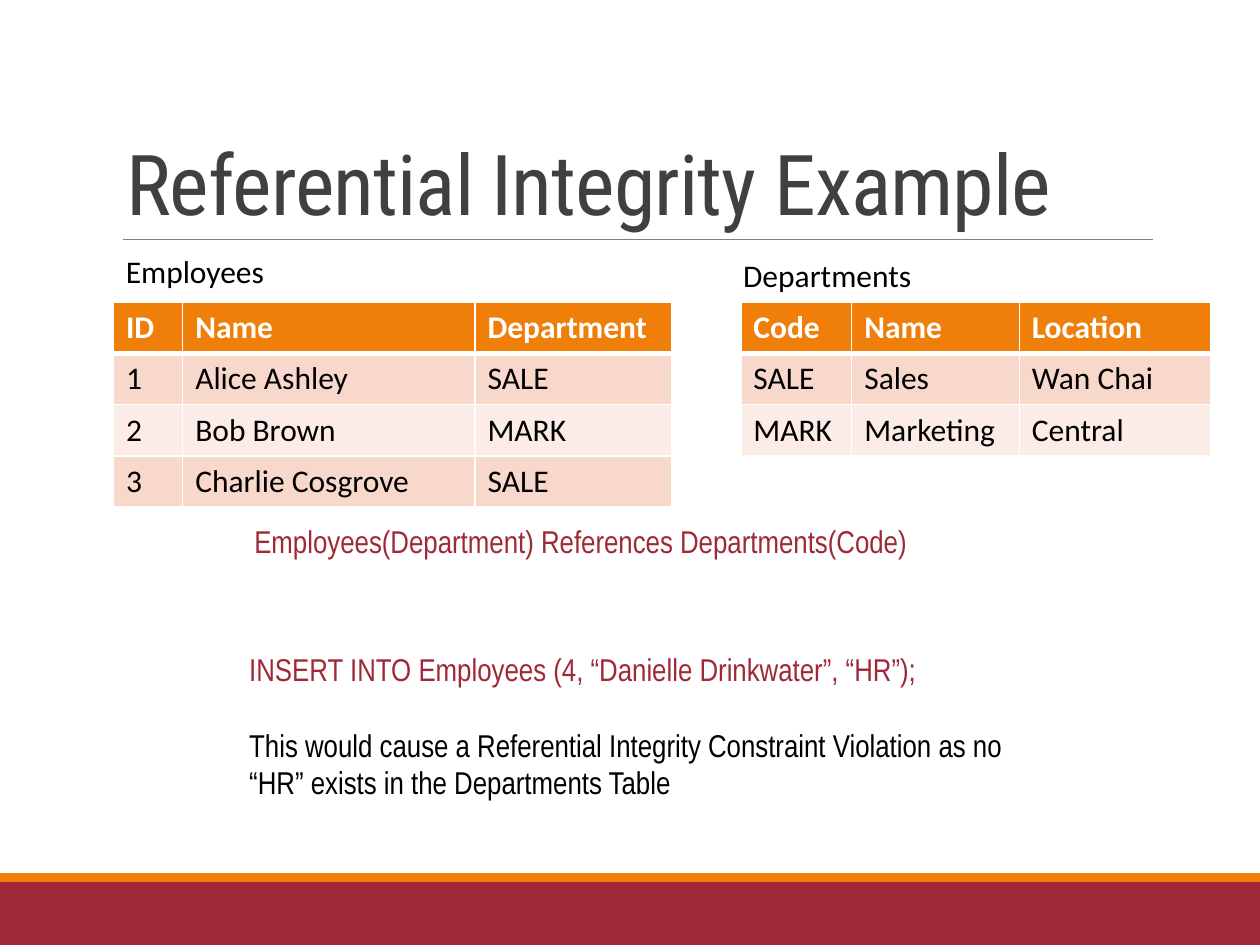
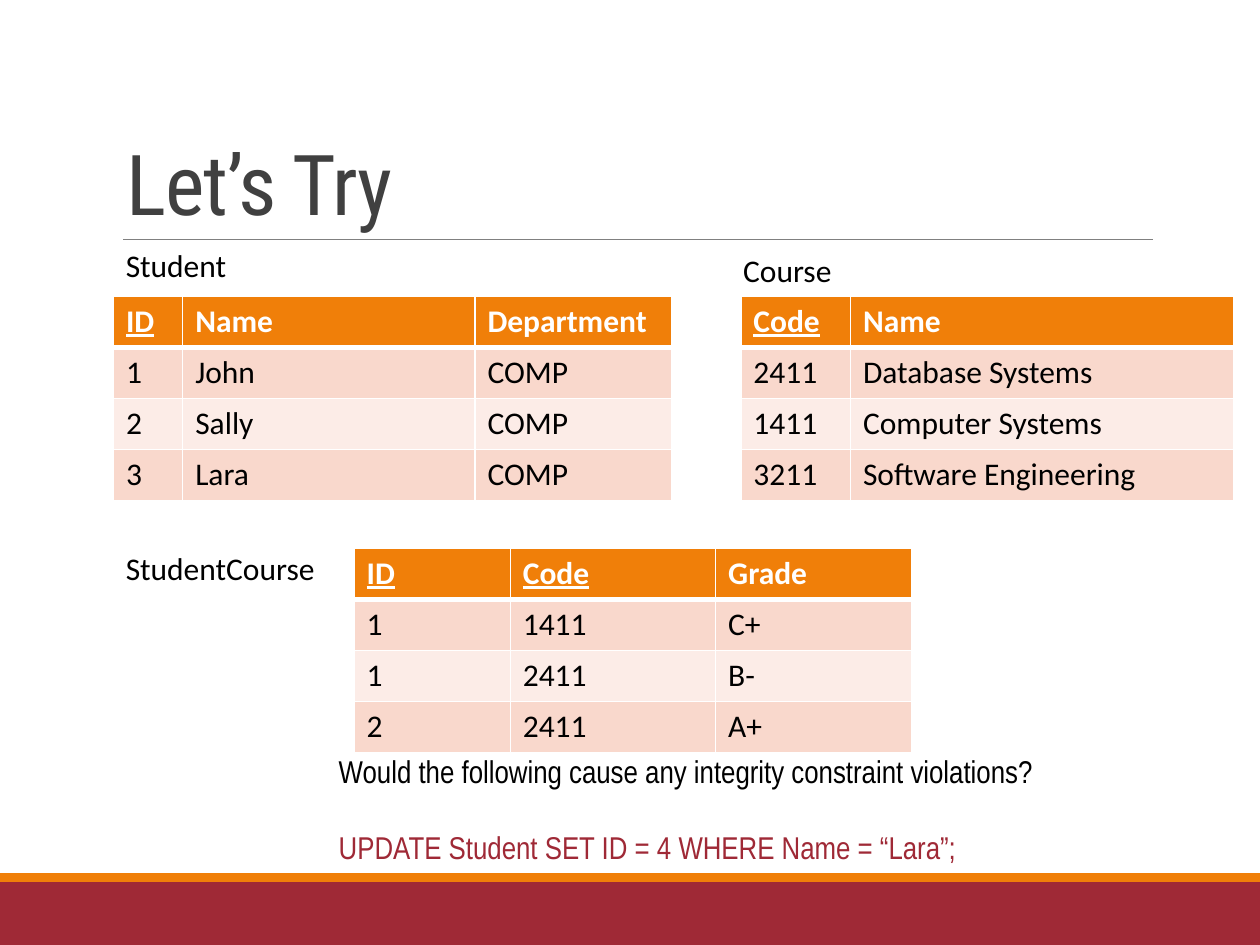
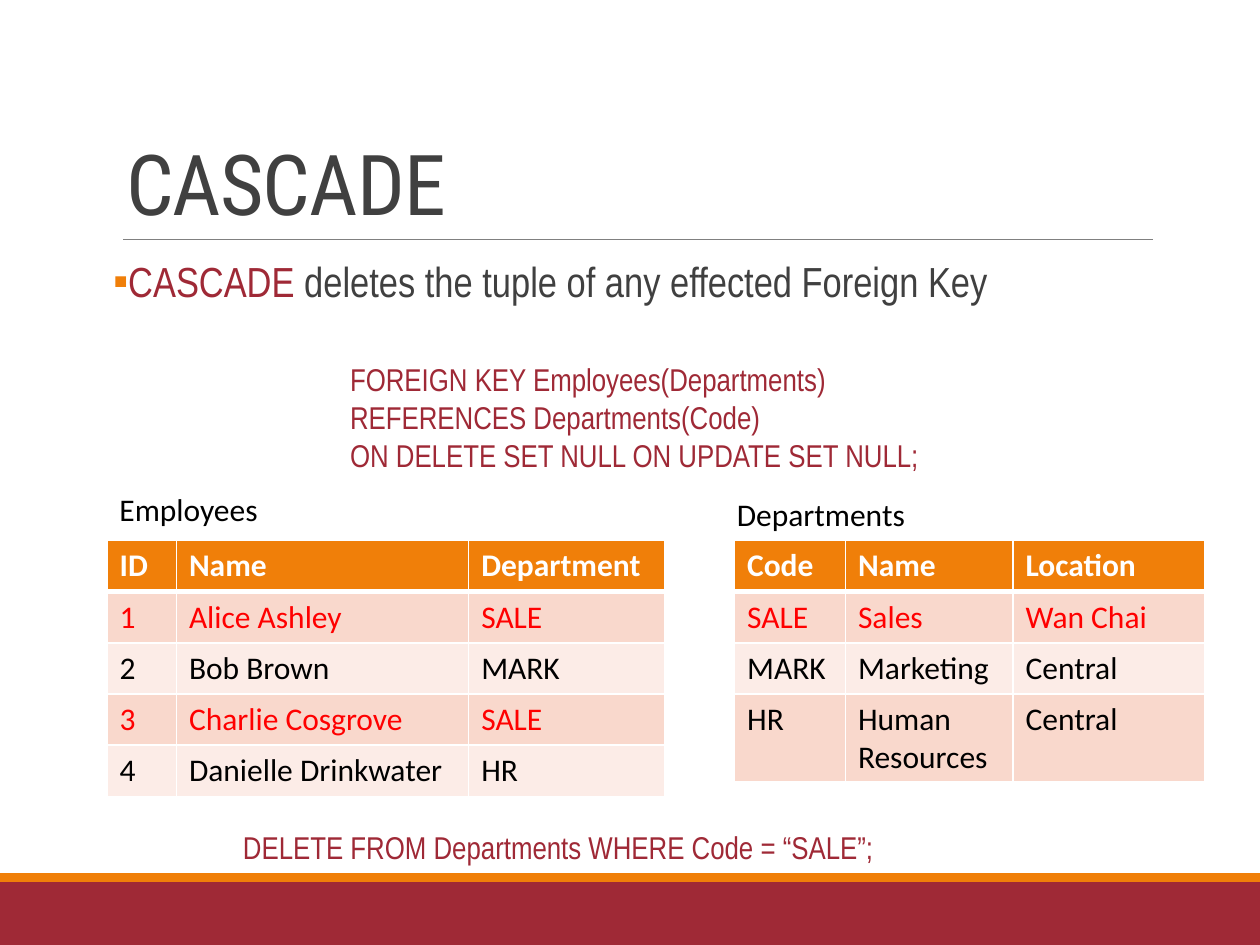
from lxml import etree
from pptx import Presentation
from pptx.dml.color import RGBColor
from pptx.enum.shapes import MSO_CONNECTOR, MSO_SHAPE
from pptx.enum.text import MSO_ANCHOR, MSO_AUTO_SIZE, PP_ALIGN
from pptx.oxml.ns import qn
from pptx.util import Inches, Pt

RECTANGLE = MSO_SHAPE.RECTANGLE
STRAIGHT = MSO_CONNECTOR.STRAIGHT
BOTTOM = MSO_ANCHOR.BOTTOM
LEFT = PP_ALIGN.LEFT
NO_FIT = MSO_AUTO_SIZE.NONE
GROW = MSO_AUTO_SIZE.SHAPE_TO_FIT_TEXT

COLUMNS, ROWS = 100, 75
TITLE_ONLY, TITLE_AND_BODY = 5, 1
ROW_HEIGHT = 4.06
LINE_GAP = 21.6
EMPLOYEE_COLUMNS = [5.5, 23.2, 15.6]
DEPARTMENT_COLUMNS = [8.8, 13.3, 15.2]

WHITE, BLACK, GREY, RULE = "FFFFFF", "000000", "404040", "808080"
CRIMSON, ORANGE, RED = "9F2936", "F07F09", "FF0000"
ROW_FILLS = ["FCECE7", "F9D8CC"]
TITLE_FONT, TABLE_FONT, CODE_FONT = "Roboto Condensed", "Calibri", "Arial Narrow"


def rgb(color):
    return RGBColor.from_string(color)


def add_child(parent, tag, **attributes):
    return etree.SubElement(parent, qn(tag), attributes)


class Deck:
    def __init__(self):
        self.presentation = Presentation()
        self.presentation.slide_width = Inches(10)
        self.presentation.slide_height = Inches(7.5)
        self.slide = None

    def column(self, count):
        return round(self.presentation.slide_width * count / COLUMNS)

    def row(self, count):
        return round(self.presentation.slide_height * count / ROWS)

    def box(self, left, top, width, height):
        return self.column(left), self.row(top), self.column(width), self.row(height)

    def place(self, shape, *area):
        shape.left, shape.top, shape.width, shape.height = self.box(*area)

    def run(self, paragraph, text, font, size, color, bold=False, underline=False):
        run = paragraph.add_run()
        run.text = text
        run.font.name = font
        run.font.size = Pt(size)
        run.font.color.rgb = rgb(color)
        run.font.bold = bold
        run.font.underline = underline
        return run

    def band(self, top, height, color):
        band = self.slide.shapes.add_shape(RECTANGLE, *self.box(0, top, COLUMNS, height))
        band.shadow.inherit = False
        band.fill.solid()
        band.fill.fore_color.rgb = rgb(color)
        band.line.fill.background()

    def rule(self, left, right, height):
        rule = self.slide.shapes.add_connector(
            STRAIGHT, self.column(left), self.row(height), self.column(right), self.row(height))
        rule.line.color.rgb = rgb(RULE)
        rule.line.width = Pt(0.5)
        add_child(rule._element.spPr, "a:effectLst")

    def start(self, title, layout=TITLE_ONLY):
        layouts = self.presentation.slide_layouts
        self.slide = self.presentation.slides.add_slide(layouts[layout])
        self.band(70, 5, CRIMSON)
        self.band(69.3, 0.7, ORANGE)
        self.rule(9.8, 91.5, 19)
        shape = self.slide.shapes.title
        self.place(shape, 9, 3.1, 82.5, 15.9)
        frame = shape.text_frame
        frame.auto_size = NO_FIT
        frame.vertical_anchor = BOTTOM
        paragraph = frame.paragraphs[0]
        paragraph.alignment = LEFT
        paragraph.line_spacing = 0.85
        run = self.run(paragraph, title, TITLE_FONT, 48, GREY)
        run.font._element.set("spc", "-50")

    def bullet(self, runs):
        body = self.slide.placeholders[1]
        self.place(body, 9, 20.2, 82.5, 44)
        frame = body.text_frame
        frame.auto_size = NO_FIT
        frame.margin_left = frame.margin_right = 0
        paragraph = frame.paragraphs[0]
        properties = paragraph._p.get_or_add_pPr()
        properties.set("marL", str(Inches(0.1)))
        properties.set("indent", str(-Inches(0.1)))
        add_child(add_child(properties, "a:buClr"), "a:srgbClr", val=ORANGE)
        add_child(properties, "a:buFont", typeface=TABLE_FONT)
        add_child(properties, "a:buChar", char="▪")
        paragraph.line_spacing = 0.9
        paragraph.space_before = Pt(0)
        paragraph.space_after = Pt(2)
        for text, color in runs:
            self.run(paragraph, text, CODE_FONT, 24, color)

    def text(self, area, lines, font=CODE_FONT, gap=0):
        frame = self.slide.shapes.add_textbox(*self.box(*area)).text_frame
        frame.word_wrap = True
        frame.auto_size = GROW
        for index, (line, color) in enumerate(lines):
            paragraph = frame.add_paragraph() if index else frame.paragraphs[0]
            if index:
                paragraph.space_before = Pt(gap)
            self.run(paragraph, line, font, 18, color)

    def label(self, left, top, name):
        self.text((left, top, 33, 4), [(name, BLACK)], TABLE_FONT)

    def border(self, cell, side, width):
        line = add_child(cell._tc.get_or_add_tcPr(), "a:" + side, w=str(Pt(width)))
        add_child(add_child(line, "a:solidFill"), "a:srgbClr", val=WHITE)

    def table(self, left, top, widths, records, keys=(), marked=(), last_height=ROW_HEIGHT):
        area = self.box(left, top, sum(widths), ROW_HEIGHT * len(records))
        table = self.slide.shapes.add_table(len(records), len(widths), *area).table
        for column, width in zip(table.columns, widths):
            column.width = self.column(width)
        for row in table.rows:
            row.height = self.row(ROW_HEIGHT)
        table.rows[len(records) - 1].height = self.row(last_height)
        for row_index, record in enumerate(records):
            header = row_index == 0
            fill = ORANGE if header else ROW_FILLS[row_index % 2]
            color = WHITE if header else RED if row_index in marked else BLACK
            for column_index, value in enumerate(record):
                cell = table.cell(row_index, column_index)
                self.border(cell, "lnL", 1)
                self.border(cell, "lnR", 1)
                self.border(cell, "lnT", 3 if row_index == 1 else 1)
                self.border(cell, "lnB", 3 if header else 1)
                cell.fill.solid()
                cell.fill.fore_color.rgb = rgb(fill)
                self.run(cell.text_frame.paragraphs[0], value, TABLE_FONT, 18, color,
                         bold=header, underline=header and value in keys)


EMPLOYEES = [
    ("ID", "Name", "Department"),
    ("1", "Alice Ashley", "SALE"),
    ("2", "Bob Brown", "MARK"),
    ("3", "Charlie Cosgrove", "SALE"),
]
DEPARTMENTS = [
    ("Code", "Name", "Location"),
    ("SALE", "Sales", "Wan Chai"),
    ("MARK", "Marketing", "Central"),
]
STUDENTS = [
    ("ID", "Name", "Department"),
    ("1", "John", "COMP"),
    ("2", "Sally", "COMP"),
    ("3", "Lara", "COMP"),
]
COURSES = [
    ("Code", "Name"),
    ("2411", "Database Systems"),
    ("1411", "Computer Systems"),
    ("3211", "Software Engineering"),
]
GRADES = [
    ("ID", "Code", "Grade"),
    ("1", "1411", "C+"),
    ("1", "2411", "B-"),
    ("2", "2411", "A+"),
]


def referential_integrity(deck):
    deck.start("Referential Integrity Example")
    deck.table(9, 24, EMPLOYEE_COLUMNS, EMPLOYEES)
    deck.label(9, 19.5, "Employees")
    deck.table(58.8, 24, DEPARTMENT_COLUMNS, DEPARTMENTS)
    deck.label(58, 19.8, "Departments")
    deck.text((18.8, 51.1, 63, 13.1), [
        ("INSERT INTO Employees (4, “Danielle Drinkwater”, “HR”);", CRIMSON),
        ("This would cause a Referential Integrity Constraint Violation as no "
         "“HR” exists in the Departments Table", BLACK),
    ], gap=LINE_GAP)
    deck.text((19.2, 40.9, 63, 4),
              [("Employees(Department) References Departments(Code)", CRIMSON)])


def lets_try(deck):
    deck.start("Let’s Try")
    deck.table(9, 23.5, EMPLOYEE_COLUMNS, STUDENTS, keys=["ID"])
    deck.label(9, 19, "Student")
    deck.table(58.8, 23.5, [8.7, 30.4], COURSES, keys=["Code"])
    deck.label(58, 19.4, "Course")
    deck.table(28.1, 43.5, [12.4, 16.3, 15.6], GRADES, keys=["ID", "Code"])
    deck.label(9, 43.1, "StudentCourse")
    deck.text((25.9, 59.2, 63, 10.1), [
        ("Would the following cause any integrity constraint violations?", BLACK),
        ("UPDATE Student SET ID = 4 WHERE Name = “Lara”;", CRIMSON),
    ], gap=LINE_GAP)


def cascade(deck):
    deck.start("CASCADE", TITLE_AND_BODY)
    deck.bullet([("CASCADE", CRIMSON),
                 (" deletes the tuple of any effected Foreign Key", GREY)])
    deck.text((26.8, 28.1, 63, 10.1), [
        ("FOREIGN KEY Employees(Departments)", CRIMSON),
        ("REFERENCES Departments(Code)", CRIMSON),
        ("ON DELETE SET NULL ON UPDATE SET NULL;", CRIMSON),
    ])
    employees = EMPLOYEES + [("4", "Danielle Drinkwater", "HR")]
    departments = DEPARTMENTS + [("HR", "Human Resources", "Central")]
    deck.table(8.5, 42.9, EMPLOYEE_COLUMNS, employees, marked=[1, 3])
    deck.label(8.5, 38.4, "Employees")
    deck.table(58.3, 42.9, DEPARTMENT_COLUMNS, departments, marked=[1], last_height=7)
    deck.label(57.5, 38.8, "Departments")
    deck.text((18.3, 65.2, 66.6, 4),
              [("DELETE FROM Departments WHERE Code = “SALE”;", CRIMSON)])


def main():
    deck = Deck()
    referential_integrity(deck)
    lets_try(deck)
    cascade(deck)
    deck.presentation.save("out.pptx")


if __name__ == "__main__":
    main()
